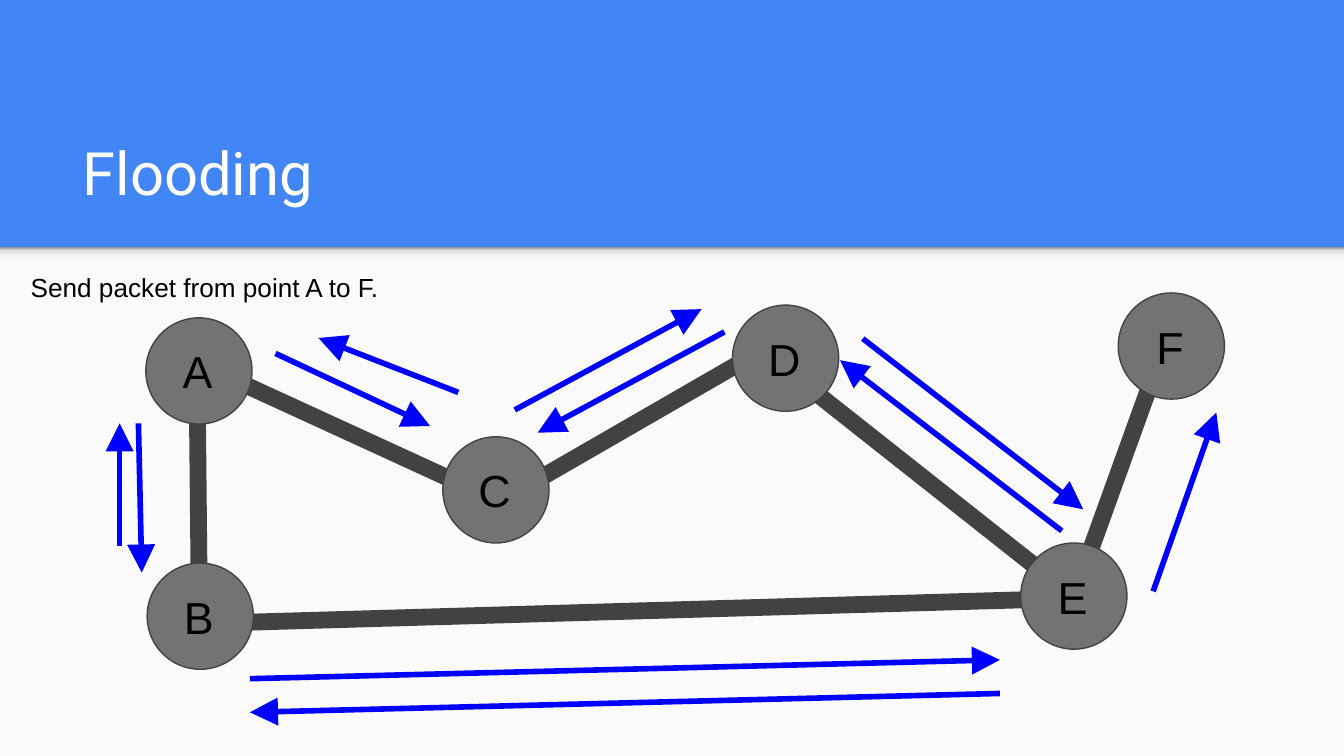
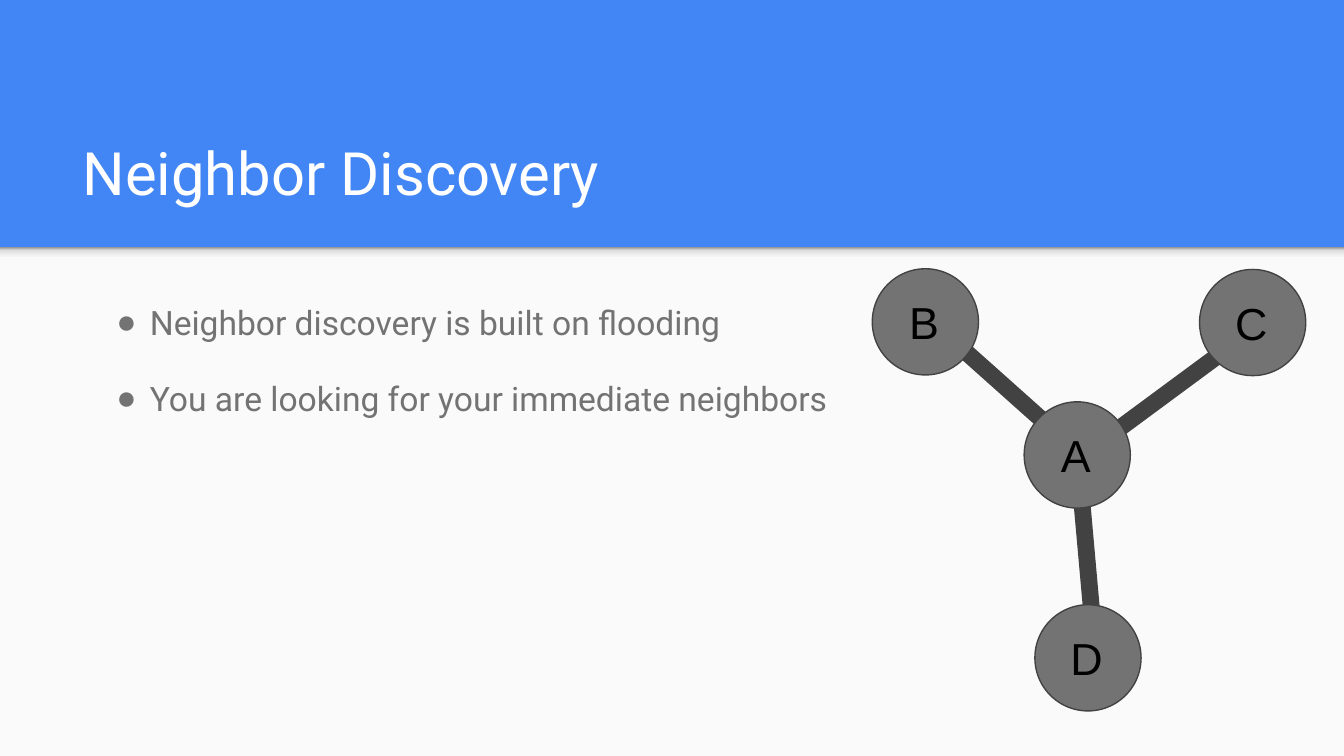
import pptx
import pptx.util
import pptx.dml.color
import pptx.enum.shapes
import pptx.enum.text
import pptx.oxml.ns
from lxml import etree

BLUE, PANEL, WHITE, BLACK = "4285F4", "FAFAFA", "FFFFFF", "000000"
NODE, EDGE, ARROW = "737373", "424242", "0000FF"
SHADE = [(0, "F9F9F9"), (36, "F9F9F9"), (80, "DEDEDE"), (100, "999999")]
PX_PER_INCH = 200
WIDTH, HEIGHT, BAND = 2000, 1125, 368
DIAMETER, LABEL_WIDTH = 158, 176
ANCHOR = pptx.enum.text.MSO_ANCHOR
ALIGN = pptx.enum.text.PP_ALIGN
SHAPE = pptx.enum.shapes.MSO_SHAPE


def px(n):
    return pptx.util.Emu(n * 914400 // PX_PER_INCH)


def rgb(color):
    return pptx.dml.color.RGBColor.from_string(color)


def sub(parent, tag, **attrs):
    return etree.SubElement(parent, pptx.oxml.ns.qn(tag), attrs)


class Deck:
    """Hold the shared style and the current slide."""

    def __init__(self):
        self.prs = pptx.Presentation()
        self.prs.slide_width, self.prs.slide_height = px(WIDTH), px(HEIGHT)

    def slide(self, layout):
        self.s = self.prs.slides.add_slide(self.prs.slide_layouts[layout])
        fill = self.s.background.fill
        fill.solid()
        fill.fore_color.rgb = rgb(BLUE)
        self.shape(SHAPE.RECTANGLE, 0, BAND, WIDTH, HEIGHT - BAND, PANEL)
        self.shade(self.shape(SHAPE.RECTANGLE, 0, BAND, WIDTH, 24, PANEL))

    def shape(self, kind, x, y, w, h, fill, line=None):
        sp = self.s.shapes.add_shape(kind, px(x), px(y), px(w), px(h))
        sp.shadow.inherit = False
        sp.fill.solid()
        sp.fill.fore_color.rgb = rgb(fill)
        if line:
            sp.line.color.rgb = rgb(line)
            sp.line.width = pptx.util.Pt(0.75)
        else:
            sp.line.fill.background()
        return sp

    def shade(self, sp):
        sp.fill.gradient()
        sp.fill.gradient_angle = 90
        stops = sp._element.spPr.find(".//" + pptx.oxml.ns.qn("a:gsLst"))
        for stop in list(stops):
            stops.remove(stop)
        for pos, color in SHADE:
            gs = sub(stops, "a:gs", pos=str(pos * 1000))
            sub(gs, "a:srgbClr", val=color)

    def line(self, x1, y1, x2, y2, color=EDGE, width=9, arrow=False):
        cn = self.s.shapes.add_connector(
            pptx.enum.shapes.MSO_CONNECTOR.STRAIGHT, px(x1), px(y1), px(x2), px(y2))
        cn.line.color.rgb = rgb(color)
        cn.line.width = pptx.util.Pt(width)
        if arrow:
            sub(cn.line._get_or_add_ln(), "a:tailEnd", type="triangle", w="lg", len="lg")
        sub(cn._element.spPr, "a:effectLst")

    def format(self, tf, size, font, color, align=ALIGN.LEFT, anchor=ANCHOR.TOP):
        tf.word_wrap = True
        tf.auto_size = pptx.enum.text.MSO_AUTO_SIZE.NONE
        tf.vertical_anchor = anchor
        tf.margin_left = tf.margin_right = tf.margin_top = tf.margin_bottom = px(20)
        for p in tf.paragraphs:
            p.alignment = align
            for r in p.runs:
                r.font.size = pptx.util.Pt(size)
                r.font.name = font
                r.font.color.rgb = rgb(color)

    def text(self, x, y, w, h, text, size, **style):
        sp = self.s.shapes.add_textbox(px(x), px(y), px(w), px(h))
        sp.text_frame.text = text
        self.format(sp.text_frame, size, "Arial", BLACK, **style)

    def placeholder(self, idx, x, y, w, h, text, size, color, anchor=ANCHOR.TOP):
        sp = self.s.placeholders[idx]
        self.s.shapes._spTree.append(sp._element)
        sp.left, sp.top, sp.width, sp.height = px(x), px(y), px(w), px(h)
        sp.text_frame.text = text
        self.format(sp.text_frame, size, "Roboto", color, anchor=anchor)
        return sp.text_frame

    def title(self, text):
        self.placeholder(0, 103, 161, 1798, 168, text, 32, WHITE, ANCHOR.BOTTOM)

    def bullets(self, items):
        tf = self.placeholder(1, 103, 420, 1170, 592, "\n".join(items), 18, NODE)
        for p in tf.paragraphs:
            p.line_spacing = 1.15
            p.space_before = pptx.util.Pt(0)
            p.space_after = pptx.util.Pt(16)
            pPr = p._p.get_or_add_pPr()
            pPr.set("marL", str(px(100)))
            pPr.set("indent", str(px(-50)))
            sub(sub(pPr, "a:buClr"), "a:srgbClr", val=NODE)
            sub(pPr, "a:buFont", typeface="Arial")
            sub(pPr, "a:buChar", char="●")

    def node(self, name, x, y):
        self.shape(SHAPE.OVAL, x, y, DIAMETER, DIAMETER, NODE, EDGE)
        self.text(x - 11, y, LABEL_WIDTH, DIAMETER, name, 24,
                  align=ALIGN.CENTER, anchor=ANCHOR.MIDDLE)

    def network(self, title, edges, nodes):
        for edge in edges:
            self.line(*edge)
        self.title(title)
        for name, (x, y) in nodes.items():
            self.node(name, x, y)


def flooding(deck):
    edges = [(1592, 904, 1732, 516), (1160, 542, 1608, 896), (300, 928, 1612, 890),
             (772, 730, 1112, 534), (350, 566, 690, 722), (294, 630, 296, 838)]
    nodes = {"A": (217, 473), "B": (219, 838), "C": (659, 650),
             "D": (1090, 454), "E": (1519, 808), "F": (1664, 436)}
    packets = [(410, 526, 640, 634), (206, 630, 211, 852), (682, 584, 474, 503),
               (766, 610, 1044, 460), (372, 1010, 1488, 982), (178, 812, 178, 630),
               (1488, 1032, 372, 1060), (1078, 494, 800, 644), (1580, 790, 1250, 536),
               (1284, 504, 1612, 758), (1716, 880, 1810, 614)]
    deck.slide(5)
    deck.network("Flooding", edges, nodes)
    deck.text(26, 384, 1472, 88, "Send packet from point A to F.", 14)
    for packet in packets:
        deck.line(*packet, color=ARROW, width=3, arrow=True)


def neighbor_discovery(deck):
    edges = [(1604, 680, 1630, 972), (1584, 698, 1852, 500), (1386, 478, 1572, 644)]
    nodes = {"B": (1298, 400), "C": (1785, 401), "A": (1524, 598), "D": (1540, 900)}
    deck.slide(1)
    deck.network("Neighbor Discovery", edges, nodes)
    deck.bullets(["Neighbor discovery is built on flooding",
                  "You are looking for your immediate neighbors"])


def main():
    deck = Deck()
    flooding(deck)
    neighbor_discovery(deck)
    deck.prs.save("out.pptx")


if __name__ == "__main__":
    main()
